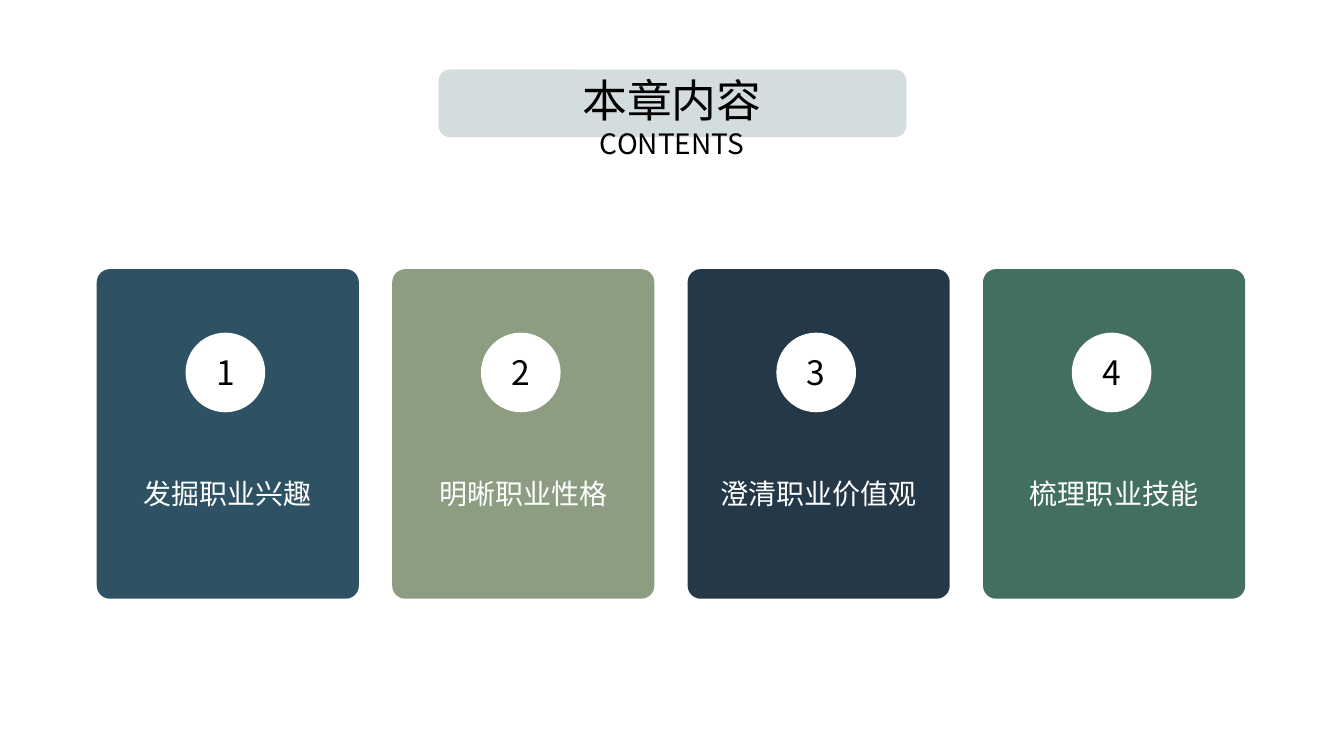
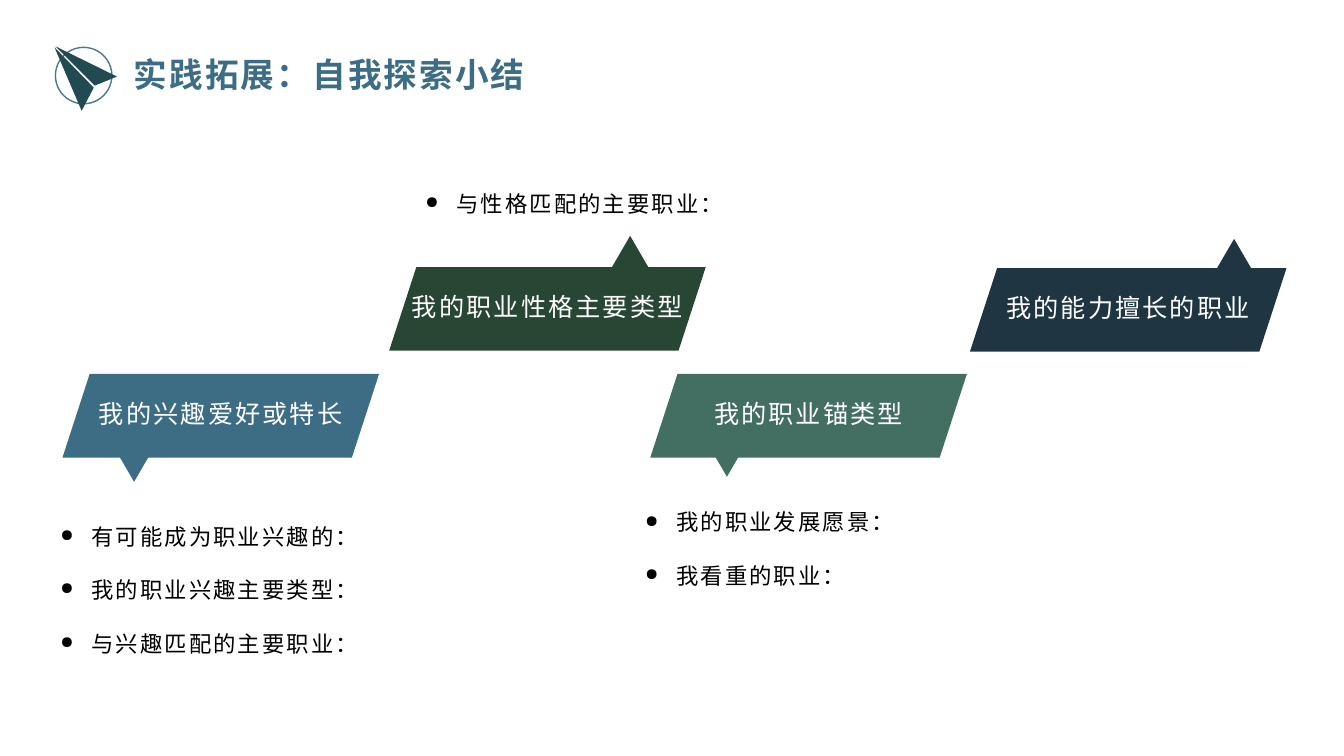
from dataclasses import dataclass

from lxml import etree
from pptx import Presentation
from pptx.dml.color import RGBColor
from pptx.enum import shapes, text
from pptx.oxml import ns
from pptx.util import Inches, Pt

KIND = shapes.MSO_SHAPE
ALIGN = text.PP_ALIGN
MID = text.MSO_ANCHOR.MIDDLE


@dataclass(frozen=True)
class Theme:
    font: str = "Noto Sans CJK SC"
    black: str = "000000"
    white: str = "FFFFFF"
    pale: str = "D4DDDE"
    blue: str = "3D6D84"
    teal: str = "2E5263"
    sage: str = "8C9D81"
    navy: str = "243848"
    green: str = "436F63"
    forest: str = "284634"
    ink: str = "1F3642"
    ring: str = "467A8C"
    dart: str = "224A52"
    hero: int = 32
    head: int = 24
    sub: int = 20
    label: int = 18
    body: int = 16
    track: int = 150


T = Theme()


def apply(item, values):
    for name, value in values.items():
        setattr(item, name, value)


def paint(shape, fill=None, line=None):
    """Set flat fill and line, without shadow."""
    shape.shadow.inherit = False
    if fill:
        shape.fill.solid()
        shape.fill.fore_color.rgb = RGBColor.from_string(fill)
    else:
        shape.fill.background()
    if line:
        shape.line.color.rgb = RGBColor.from_string(line)
        shape.line.width = Pt(1)
    else:
        shape.line.fill.background()


def block(slide, kind, at, fill=None, line=None, adj=None):
    shape = slide.shapes.add_shape(kind, *map(Inches, at))
    if adj is not None:
        shape.adjustments[0] = adj
    paint(shape, fill, line)
    return shape


def bullet(para):
    props = para._p.get_or_add_pPr()
    props.set("marL", str(Inches(0.31)))
    props.set("indent", str(-Inches(0.31)))
    etree.SubElement(props, ns.qn("a:buSzPct")).set("val", "75000")
    etree.SubElement(props, ns.qn("a:buChar")).set("char", "●")


def write(shape, lines, color=T.black, bold=False, track=0, dot=False,
          align=ALIGN.LEFT, space=1.0, **frame):
    """Fill a shape with (words, size) lines."""
    body = shape.text_frame
    apply(body, {"word_wrap": True, **frame})
    for i, (words, size) in enumerate(lines):
        para = body.add_paragraph() if i else body.paragraphs[0]
        apply(para, {"alignment": align, "line_spacing": space})
        if dot:
            bullet(para)
        run = para.add_run()
        run.text = words
        apply(run.font, {"name": T.font, "size": Pt(size), "bold": bold})
        run.font.color.rgb = RGBColor.from_string(color)
        props = run._r.get_or_add_rPr()
        if track:
            props.set("spc", str(track))
        east = etree.Element(ns.qn("a:ea"))
        east.set("typeface", T.font)
        props.find(ns.qn("a:latin")).addnext(east)


def label(slide, at, lines, **style):
    write(slide.shapes.add_textbox(*map(Inches, at)), lines, **style)


def card(slide, left, num, words, fill):
    """Numbered chapter card."""
    width, top = 2.6, 2.67
    block(slide, KIND.ROUNDED_RECTANGLE, (left, top, width, 3.27), fill, adj=0.05)
    disc = block(slide, KIND.OVAL, (left + 0.88, top + 0.63, 0.79, 0.79), T.white)
    write(disc, [(str(num), T.head)], align=ALIGN.CENTER, vertical_anchor=MID)
    label(slide, (left, 4.56, width, 0.5), [(words, T.sub)], color=T.white,
          align=ALIGN.CENTER, space=1.5, margin_left=0, margin_right=0,
          margin_top=0, margin_bottom=0)


def banner(slide, left, top, words, fill, tip, up):
    """Slanted callout with its pointer above or below."""
    high = 0.83
    box = block(slide, KIND.PARALLELOGRAM, (left, top, 3.14, high), fill, adj=0.325)
    write(box, [(words, T.label)], color=T.white, track=T.track,
          align=ALIGN.CENTER, vertical_anchor=MID, word_wrap=False,
          margin_left=0, margin_right=0, margin_top=0, margin_bottom=Inches(0.04))
    mark = block(slide, KIND.ISOSCELES_TRIANGLE, (*tip, 0.5, 0.43), fill)
    mark.rotation = 0 if up else 180


def points(slide, at, lines):
    label(slide, at, [(words, T.body) for words in lines],
          track=T.track, dot=True, space=2.0)


def dart(slide):
    """Ring with a two-part paper dart."""
    block(slide, KIND.OVAL, (0.55, 0.47, 0.56, 0.56), line=T.ring)
    # Points are whole hundredths of an inch
    wing = [(116, 76), (94, 85), (55, 46)]
    tail = [(93, 87), (81, 110), (54, 47)]
    pen = slide.shapes.build_freeform(*wing[0], scale=Inches(0.01))
    pen.add_line_segments(wing[1:], close=True)
    pen.move_to(*tail[0])
    pen.add_line_segments(tail[1:], close=True)
    paint(pen.convert_to_shape(), T.dart)


def contents(slide):
    # Heading
    block(slide, KIND.ROUNDED_RECTANGLE, (4.35, 0.69, 4.64, 0.67), T.pale)
    label(slide, (4.97, 0.67, 3.39, 0.64),
          [("本章内容", T.hero), ("CONTENTS", T.sub)], align=ALIGN.CENTER)
    # Cards
    cards = [("发掘职业兴趣", T.teal), ("明晰职业性格", T.sage),
             ("澄清职业价值观", T.navy), ("梳理职业技能", T.green)]
    for i, (words, fill) in enumerate(cards):
        card(slide, 0.96 + 2.93 * i, i + 1, words, fill)


def summary(slide):
    # Heading
    dart(slide)
    label(slide, (1.23, 0.49, 6.67, 0.5), [("实践拓展：自我探索小结", T.head)],
          color=T.blue, bold=True, track=T.track)
    # Banners
    for item in [
        (0.62, 3.71, "我的兴趣爱好或特长", T.blue, (1.08, 4.35), False),
        (3.86, 2.65, "我的职业性格主要类型", T.forest, (6, 2.34), True),
        (6.45, 3.71, "我的职业锚类型", T.green, (6.96, 4.3), False),
        (9.62, 2.66, "我的能力擅长的职业", T.ink, (11.99, 2.37), True),
    ]:
        banner(slide, *item)
    # Prompts
    points(slide, (0.5, 4.87, 3.33, 1.72),
           ["有可能成为职业兴趣的：", "我的职业兴趣主要类型：", "与兴趣匹配的主要职业："])
    points(slide, (4.12, 1.57, 3.24, 0.64), ["与性格匹配的主要职业："])
    points(slide, (6.3, 4.73, 3.24, 1.18), ["我的职业发展愿景：", "我看重的职业："])


def main():
    deck = Presentation()
    apply(deck, {"slide_width": Inches(13.33), "slide_height": Inches(7.5)})
    for build in (contents, summary):
        build(deck.slides.add_slide(deck.slide_layouts[6]))
    deck.save("out.pptx")


if __name__ == "__main__":
    main()
